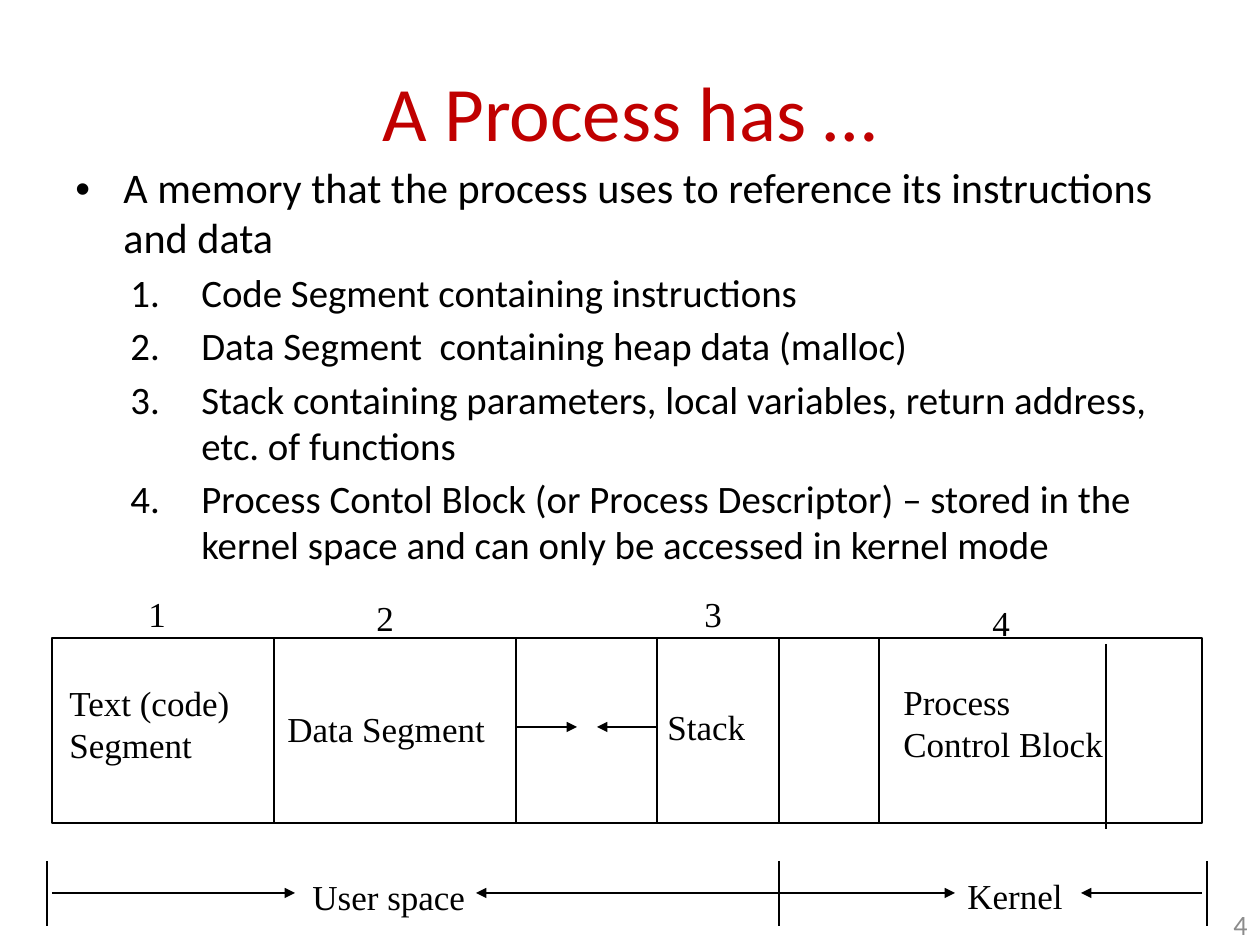
"""Builds the slide on the memory layout of a process."""
import lxml.etree
import pptx
import pptx.dml.color
import pptx.enum.shapes
import pptx.enum.text
import pptx.oxml.ns
import pptx.util

PX = 914400 / 126
COLORS = {"title": "C00000", "ink": "000000", "paper": "FFFFFF", "number": "8C8C8C"}
ALIGN = pptx.enum.text.PP_ALIGN
ANCHOR = pptx.enum.text.MSO_ANCHOR
SERIF = {"name": "Times New Roman", "size": pptx.util.Pt(20)}
LINE_HEIGHT = 55


def emu(px):
    """Turn px into EMU."""
    return pptx.util.Emu(round(px * PX))


def color(name):
    """Look up a named colour."""
    return pptx.dml.color.RGBColor.from_string(COLORS[name])


def apply(target, values):
    """Set each attribute in the dict on the target."""
    for name, value in values.items():
        setattr(target, name, value)


def add_child(parent, tag, **attributes):
    """Append a DrawingML element with its attributes."""
    child = lxml.etree.SubElement(parent, pptx.oxml.ns.qn(tag))
    for name, value in attributes.items():
        child.set(name, value)
    return child


def add_text(slide, box, lines, font, ink="ink", paragraph_format=None, frame_format=None):
    """Add a text box with one paragraph per line and return its paragraphs."""
    shape = slide.shapes.add_textbox(*map(emu, box))
    apply(shape.text_frame, {"word_wrap": True, **(frame_format or {})})
    shape.text_frame.text = "\n".join(lines)
    for paragraph in shape.text_frame.paragraphs:
        apply(paragraph, paragraph_format or {})
        apply(paragraph.font, font)
        paragraph.font.color.rgb = color(ink)
    return shape.text_frame.paragraphs


def add_label(slide, left, top, width, *lines):
    """Add a diagram label that does not wrap."""
    box = (left, top, width, LINE_HEIGHT * len(lines))
    add_text(slide, box, lines, SERIF, frame_format={"word_wrap": False})


def add_line(slide, start, end, arrow=False):
    """Add a thin straight line, with an arrowhead at its end if asked."""
    line = slide.shapes.add_connector(
        pptx.enum.shapes.MSO_CONNECTOR.STRAIGHT, *map(emu, (*start, *end)))
    line.line.width = pptx.util.Pt(0.75)
    line.line.color.rgb = color("ink")
    if arrow:
        add_child(line.line._get_or_add_ln(), "a:tailEnd", type="triangle")
    add_child(line._element.spPr, "a:effectLst")


def add_title(slide, box):
    """Add the centred heading."""
    add_text(slide, box, ["A Process has …"],
             {"name": "Calibri", "size": pptx.util.Pt(44)}, "title",
             {"alignment": ALIGN.CENTER}, {"vertical_anchor": ANCHOR.MIDDLE})


def add_body(slide, box):
    """Add the bulleted statement and its numbered parts."""
    lines = [
        "A memory that the process uses to reference its instructions and data",
        "Code Segment containing instructions",
        "Data Segment  containing heap data (malloc)",
        "Stack containing parameters, local variables, return address, etc. of functions",
        "Process Contol Block (or Process Descriptor) – stored in the kernel space "
        "and can only be accessed in kernel mode",
    ]
    paragraphs = add_text(
        slide, box, lines, {"name": "Calibri", "size": pptx.util.Pt(22.2)},
        paragraph_format={"space_before": pptx.util.Pt(4.4), "line_spacing": 0.98})
    paragraphs[0].font.size = pptx.util.Pt(24.1)
    for index, paragraph in enumerate(paragraphs):
        margin, indent = (126, -71) if index else (48, -48)
        properties = paragraph._p.get_or_add_pPr()
        properties.set("marL", str(emu(margin)))
        properties.set("indent", str(emu(indent)))
        if index:
            paragraph.level = 1
            marker = add_child(properties, "a:buAutoNum", type="arabicPeriod")
        else:
            add_child(properties, "a:buFont", typeface="Arial")
            marker = add_child(properties, "a:buChar", char="•")
        text_defaults = properties.find(pptx.oxml.ns.qn("a:defRPr"))
        if text_defaults is not None:
            properties.remove(text_defaults)
            marker.addnext(text_defaults)


def add_memory(slide, box):
    """Add the memory bar with its segments, growth arrows and numbers."""
    left, top, width, height = box
    add_label(slide, left + 928, top - 43, 43, "4")
    bar = slide.shapes.add_shape(pptx.enum.shapes.MSO_SHAPE.RECTANGLE, *map(emu, box))
    bar.shadow.inherit = False
    bar.fill.solid()
    bar.fill.fore_color.rgb = color("paper")
    bar.line.color.rgb = color("ink")
    bar.line.width = pptx.util.Pt(0.75)

    for x, drop in [(222, 0), (464, 0), (605, 0), (727, 0), (827, 0), (1054, 6)]:
        add_line(slide, (left + x, top + drop), (left + x, top + height + drop))
    for start, end in [(464, 525), (605, 545)]:
        add_line(slide, (left + start, top + 89), (left + end, top + 89), arrow=True)

    for x, y, label_width, *lines in [
        (84, -52, 43, "1"),
        (312, -48, 43, "2"),
        (640, -52, 43, "3"),
        (5, 37, 186, "Text (code)", "Segment"),
        (223, 63, 224, "Data Segment"),
        (603, 61, 103, "Stack"),
        (839, 36, 227, "Process", "Control Block"),
    ]:
        add_label(slide, left + x, top + y, label_width, *lines)


def add_spaces(slide, box):
    """Add the user and kernel ranges between their end marks."""
    left, top, width, height = box
    border = 732
    for x in (0, border, width):
        add_line(slide, (left + x, top), (left + x, top + height))
    for start, end in [(5, 248), (border, 429), (border, 908), (width - 5, 1034)]:
        add_line(slide, (left + start, top + 32), (left + end, top + 32), arrow=True)
    add_label(slide, left + 253, top + 8, 202, "User space")
    add_label(slide, left + 908, top + 7, 151, "Kernel")


def add_slide_number(slide, box):
    """Add the page number at the right edge."""
    add_text(slide, box, ["4"], {"name": "Calibri", "size": pptx.util.Pt(16)}, "number",
             {"alignment": ALIGN.RIGHT}, {"vertical_anchor": ANCHOR.MIDDLE})


def main():
    """Build and save the presentation."""
    presentation = pptx.Presentation()
    apply(presentation, {"slide_width": emu(1260), "slide_height": emu(945)})
    slide = presentation.slides.add_slide(presentation.slide_layouts[6])
    add_slide_number(slide, (998, 903, 262, 42))
    add_title(slide, (63, 32, 1134, 157))
    add_body(slide, (63, 158, 1134, 451))
    add_memory(slide, (52, 638, 1150, 185))
    add_spaces(slide, (47, 861, 1160, 65))
    presentation.save("out.pptx")


if __name__ == "__main__":
    main()
